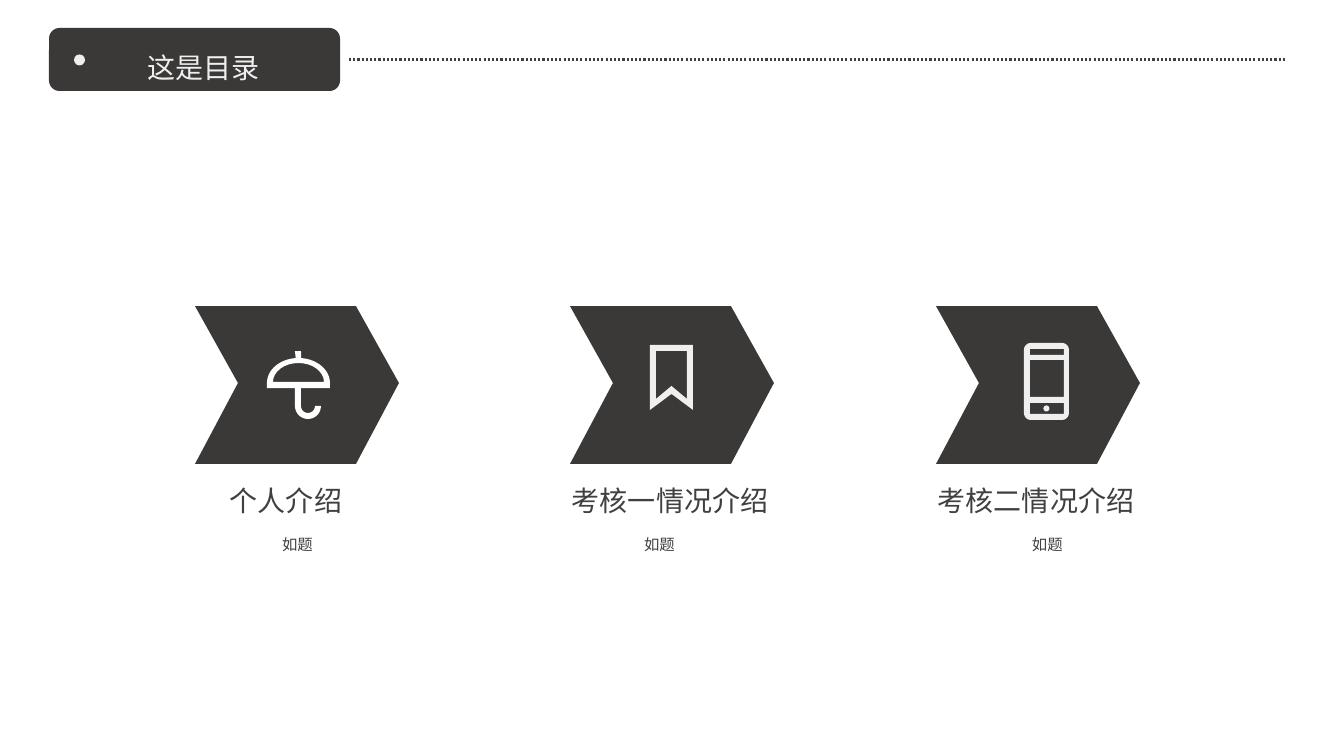
import math

from lxml import etree
from pptx import Presentation
from pptx import util as u
from pptx.dml.color import RGBColor
from pptx.enum import dml, shapes, text
from pptx.oxml.ns import qn

PX = 914400 / 100.8
COLORS = {"dark": "3B3838", "ink": "404040", "pale": "EFEFEF", "white": "FFFFFF"}
FONT = "Arial"


def px(length):
    return u.Emu(round(length * PX))


def color(name):
    return RGBColor.from_string(COLORS[name])


def paint(shape, fill):
    shape.shadow.inherit = False
    shape.fill.solid()
    shape.fill.fore_color.rgb = color(fill)
    shape.line.fill.background()


def write(box, words, size=20, ink="ink", align=None, spacing=None, wrap=True):
    frame = box.text_frame
    frame.word_wrap = wrap
    frame.auto_size = text.MSO_AUTO_SIZE.SHAPE_TO_FIT_TEXT
    frame.vertical_anchor = text.MSO_ANCHOR.TOP
    para = frame.paragraphs[0]
    para.alignment = align
    para.line_spacing = spacing
    span = para.add_run()
    span.text = words
    span.font.name = FONT
    span.font.size = u.Pt(size)
    span.font.color.rgb = color(ink)


def add_text(page, left, top, width, height, words, **style):
    box = page.shapes.add_textbox(px(left), px(top), px(width), px(height))
    write(box, words, **style)


def add_preset(page, kind, left, top, width, height, fill):
    shape = page.shapes.add_shape(kind, px(left), px(top), px(width), px(height))
    paint(shape, fill)


def add_outline(page, left, top, contours, fill):
    first = contours[0][0]
    builder = page.shapes.build_freeform(px(first[0]), px(first[1]))
    for index, contour in enumerate(contours):
        points = [(px(x), px(y)) for x, y in contour]
        if index:
            builder.move_to(*points[0])
        builder.add_line_segments(points[1:], close=True)
    paint(builder.convert_to_shape(px(left), px(top)), fill)


def arc(x, y, across, down, start, stop, steps=16):
    angles = [math.radians(start + (stop - start) * i / steps) for i in range(steps + 1)]
    return [(x + across * math.cos(a), y + down * math.sin(a)) for a in angles]


def rectangle(left, top, right, bottom):
    return [(left, top), (right, top), (right, bottom), (left, bottom)]


def umbrella():
    canopy = arc(31.5, 32, 31.5, 25, 180, 265) + [(28, 0), (34, 0)]
    canopy += arc(31.5, 32, 31.5, 25, 275, 360) + [(63, 37), (34, 37)]
    hook = arc(41, 55, 7, 7, 180, 0) + arc(41, 55, 13, 13, 0, 180)
    opening = arc(31.5, 31, 25.5, 19, 180, 360)
    return [canopy + hook + [(28, 37), (0, 37)], opening]


def bookmark():
    return [
        [(0, 0), (43, 0), (43, 65), (21.5, 49), (0, 65)],
        [(6, 6), (37, 6), (37, 54), (21.5, 41), (6, 54)],
    ]


def phone():
    corners = [(38, 7, 270), (38, 70, 0), (7, 70, 90), (7, 7, 180)]
    case = [point for x, y, start in corners for point in arc(x, y, 7, 7, start, start + 90, 8)]
    panes = [rectangle(6, top, 40, bottom) for top, bottom in [(6, 12), (17, 54), (60, 71)]]
    return [case, *panes, arc(22.5, 65.5, 3, 3, 0, 360)]


def add_header(page, left, top, width, height, words):
    middle = top + height / 2
    line = page.shapes.add_connector(
        shapes.MSO_CONNECTOR.STRAIGHT, px(left + width + 9), px(middle), px(1286), px(middle))
    line.line.color.rgb = color("ink")
    line.line.width = u.Pt(1.5)
    line.line.dash_style = dml.MSO_LINE.ROUND_DOT
    properties = line.element.find(qn("p:spPr"))
    etree.SubElement(properties, qn("a:effectLst"))

    add_preset(page, shapes.MSO_SHAPE.ROUNDED_RECTANGLE, left, top, width, height, "dark")
    title = page.shapes.title
    title.element.getparent().append(title.element)
    title.left, title.top = px(left + 28), px(top + 7)
    title.width, title.height = px(253), px(50)
    write(title, words, ink="pale", align=text.PP_ALIGN.CENTER, spacing=1.3)
    add_preset(page, shapes.MSO_SHAPE.OVAL, left + 25, middle - 5, 11, 11, "pale")


def add_topic(page, left, top, topic):
    chevron = [(0, 0), (161, 0), (204, 77), (161, 158), (0, 158), (43, 77)]
    add_outline(page, left, top, [chevron], "dark")
    x, y = topic["icon_at"]
    add_outline(page, left + x, top + y, topic["icon"], topic["fill"])
    add_text(page, left + topic["name_x"], top + 173, topic["name_width"], 44,
             topic["name"], wrap=False)
    add_text(page, left + topic["note_x"], top + 219, 317, 32, "如题",
             size=11, align=text.PP_ALIGN.CENTER, spacing=1.3)


def main():
    deck = Presentation()
    deck.slide_width, deck.slide_height = px(1344), px(756)
    page = deck.slides.add_slide(deck.slide_layouts[5])
    add_header(page, 49, 28, 291, 63, "这是目录")
    topics = [
        dict(left=195, name="个人介绍", name_x=25, name_width=133, note_x=-56,
             icon=umbrella(), icon_at=(72, 45), fill="white"),
        dict(left=570, name="考核一情况介绍", name_x=-8, name_width=219, note_x=-69,
             icon=bookmark(), icon_at=(80, 39), fill="pale"),
        dict(left=936, name="考核二情况介绍", name_x=-8, name_width=219, note_x=-47,
             icon=phone(), icon_at=(88, 37), fill="pale"),
    ]
    for topic in topics:
        add_topic(page, topic["left"], 306, topic)
    deck.save("out.pptx")


if __name__ == "__main__":
    main()
